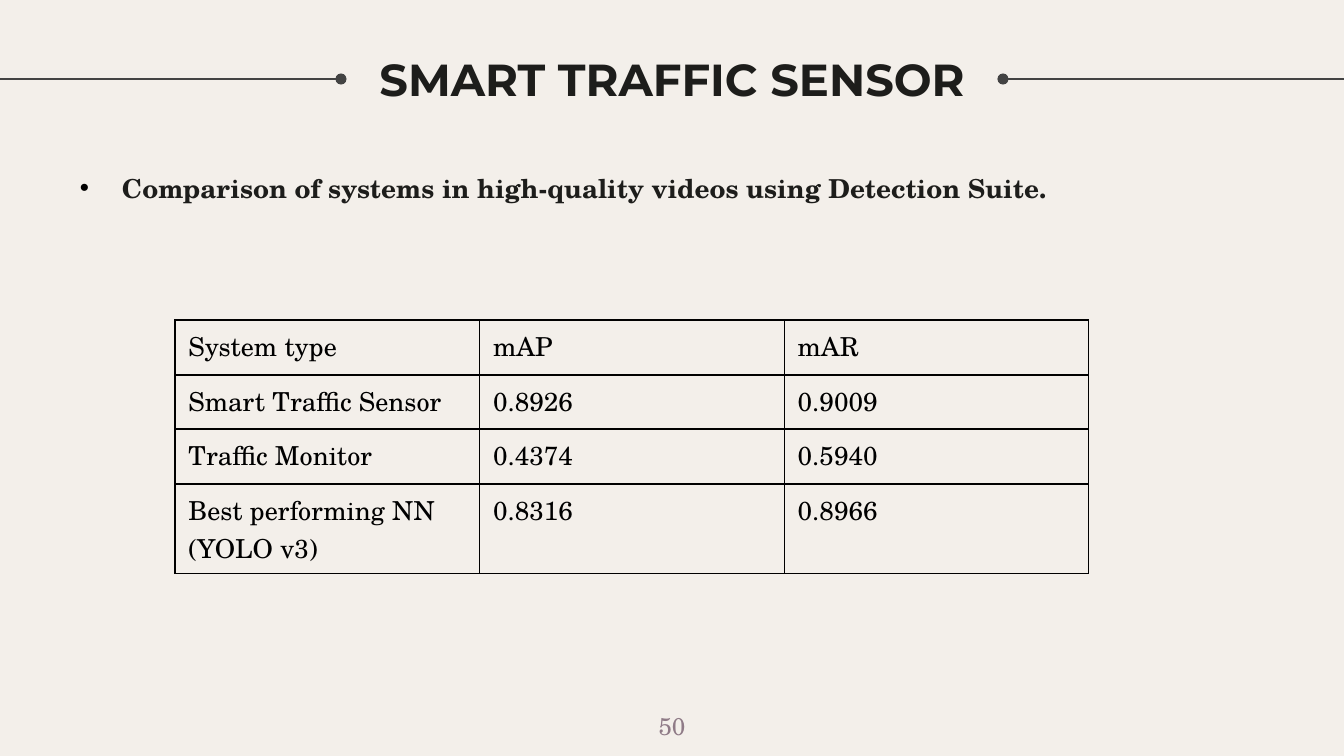
from lxml import etree
from pptx import Presentation
from pptx.dml.color import RGBColor
from pptx.enum.shapes import MSO_CONNECTOR
from pptx.enum.text import MSO_ANCHOR, PP_ALIGN
from pptx.oxml.ns import qn
from pptx.util import Pt

EMU_PER_PX = 914400 / 134.4
STRAIGHT = MSO_CONNECTOR.STRAIGHT
TOP, MIDDLE = MSO_ANCHOR.TOP, MSO_ANCHOR.MIDDLE
LEFT, CENTER = PP_ALIGN.LEFT, PP_ALIGN.CENTER
COLORS = {
    "background": "F3EFEA",
    "rule": "434343",
    "heading": "1D1D1B",
    "table": "000000",
    "page_number": "8F7B87",
}
SERIF = "TeX Gyre Schola"


def px(length):
    return round(length * EMU_PER_PX)


def format_font(paragraph, color, **values):
    for name, value in values.items():
        setattr(paragraph.font, name, value)
    paragraph.font.color.rgb = RGBColor.from_string(COLORS[color])


presentation = Presentation()
presentation.slide_width = px(1344)
presentation.slide_height = px(756)
slide = presentation.slides.add_slide(presentation.slide_layouts[6])
slide.background.fill.solid()
slide.background.fill.fore_color.rgb = RGBColor.from_string(COLORS["background"])

for start, end in ((341, -4), (1003, 1346)):
    rule = slide.shapes.add_connector(STRAIGHT, px(start), px(79), px(end), px(79))
    rule.line.color.rgb = RGBColor.from_string(COLORS["rule"])
    rule.line.width = Pt(0.75)
    etree.SubElement(rule.line._get_or_add_ln(), qn("a:headEnd"), type="oval")
    etree.SubElement(rule._element.spPr, qn("a:effectLst"))

text_boxes = [
    ("SMART TRAFFIC SENSOR", (342, 16, 660, 126), MIDDLE, CENTER, "heading",
     {"name": "Montserrat", "size": Pt(24), "bold": True}),
    ("Comparison of systems in high-quality videos using Detection Suite.",
     (67, 159, 1191, 539), TOP, LEFT, "heading",
     {"name": SERIF, "size": Pt(14), "bold": True}),
    ("50", (632, 698, 80, 58), TOP, CENTER, "page_number",
     {"name": SERIF, "size": Pt(13)}),
]
for text, box, anchor, alignment, color, font in text_boxes:
    shape = slide.shapes.add_textbox(*map(px, box))
    frame = shape.text_frame
    frame.word_wrap = True
    frame.vertical_anchor = anchor
    for side in ("left", "right", "top", "bottom"):
        setattr(frame, f"margin_{side}", px(13))
    paragraph = frame.paragraphs[0]
    paragraph.text = text
    paragraph.alignment = alignment
    if alignment == LEFT:
        properties = paragraph._p.get_or_add_pPr()
        properties.set("marL", str(px(42)))
        properties.set("indent", str(px(-42)))
        bullet_color = etree.SubElement(properties, qn("a:buClr"))
        etree.SubElement(bullet_color, qn("a:srgbClr"), val=COLORS["table"])
        etree.SubElement(properties, qn("a:buFont"), typeface="Arial")
        etree.SubElement(properties, qn("a:buChar"), char="•")
    format_font(paragraph, color, **font)

systems = [
    ("System type", "mAP", "mAR"),
    ("Smart Traffic Sensor", "0.8926", "0.9009"),
    ("Traffic Monitor", "0.4374", "0.5940"),
    ("Best performing NN (YOLO v3)", "0.8316", "0.8966"),
]
row_heights = (55, 54, 55, 90)
table = slide.shapes.add_table(
    len(systems), len(systems[0]), px(175), px(320), px(914), px(sum(row_heights))
).table
table.first_row = False
table.horz_banding = False
for row, height, values in zip(table.rows, row_heights, systems):
    row.height = px(height)
    for cell, value in zip(row.cells, values):
        cell.text = value
        format_font(cell.text_frame.paragraphs[0], "table", name=SERIF, size=Pt(14))
        properties = cell._tc.get_or_add_tcPr()
        for edge in ("lnL", "lnR", "lnT", "lnB"):
            border = etree.SubElement(properties, qn(f"a:{edge}"), w=str(Pt(0.75)))
            fill = etree.SubElement(border, qn("a:solidFill"))
            etree.SubElement(fill, qn("a:srgbClr"), val=COLORS["table"])
        cell.fill.background()

presentation.save("out.pptx")
